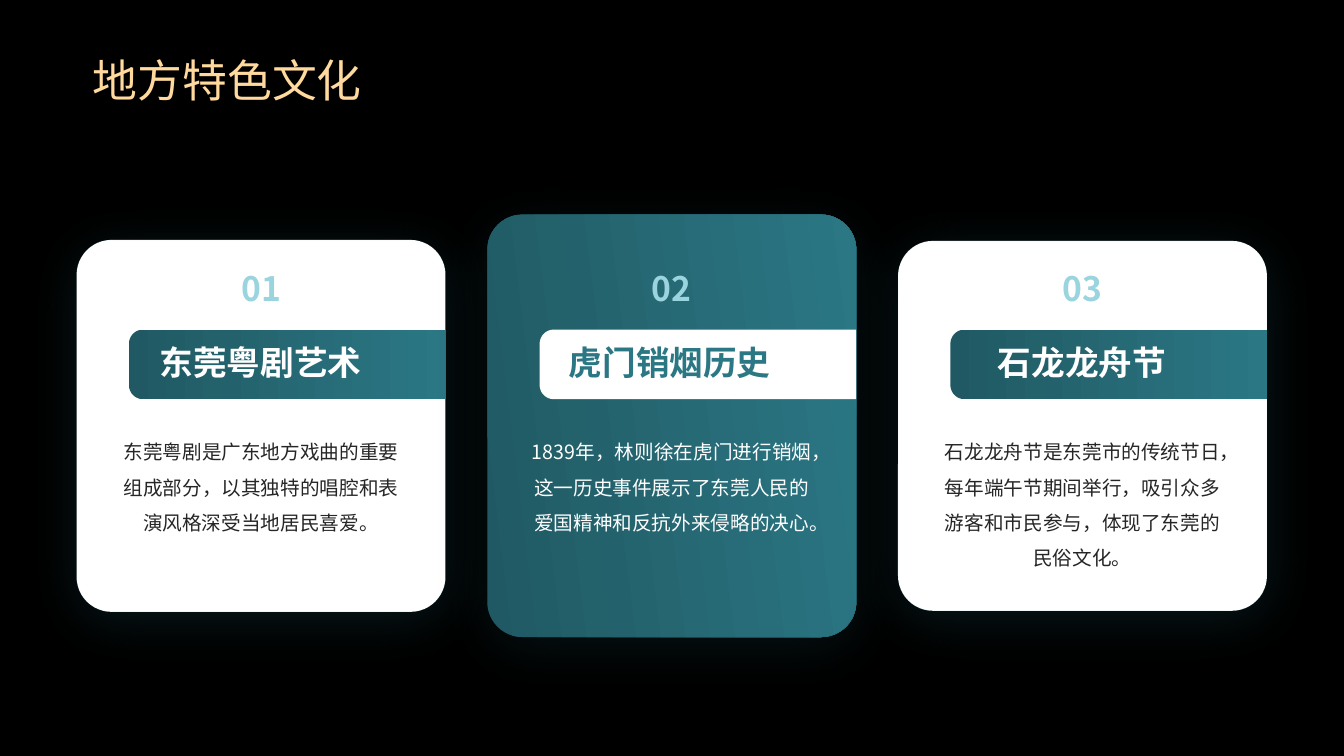
import math
from dataclasses import dataclass

from lxml import etree
from pptx import Presentation
from pptx.dml.color import RGBColor
from pptx.enum.shapes import MSO_SHAPE
from pptx.enum.text import MSO_ANCHOR, PP_ALIGN
from pptx.oxml.ns import qn
from pptx.util import Inches, Pt

ROUNDED = MSO_SHAPE.ROUNDED_RECTANGLE
TOP, MIDDLE = MSO_ANCHOR.TOP, MSO_ANCHOR.MIDDLE
LEFT, CENTER = PP_ALIGN.LEFT, PP_ALIGN.CENTER
WIDTH, HEIGHT = Inches(13.33), Inches(7.5)


@dataclass(frozen=True)
class Theme:
    font: str = "Noto Sans CJK SC"
    background: str = "000000"
    gold: str = "FFD99D"
    white: str = "FFFFFF"
    dark_teal: str = "205963"
    teal: str = "2B7784"
    pale_teal: str = "9AD4DE"
    ink: str = "262626"
    title_size: int = 32
    heading_size: int = 24
    body_size: int = 14


@dataclass(frozen=True)
class Card:
    number: str
    heading: str
    body: str
    height: float
    featured: bool = False


THEME = Theme()
# Places and sizes are percentages of the slide's width or height.
CARD_LEFT, CARD_PITCH, CARD_WIDTH, CARD_MIDDLE = 5.7, 30.56, 27.45, 56.33
TAB_INDENT, TAB_TOP, TAB_HEIGHT, TAB_RADIUS = 3.9, 43.6, 9.2, 1.05
NUMBER_TOP, NUMBER_WIDTH, NUMBER_HEIGHT = 34.8, 4.05, 6.53
BODY_TOP, BODY_WIDTH, BODY_HEIGHT = 56.67, 21.83, 19.07
CARDS = [
    Card("01", "东莞粤剧艺术",
         "东莞粤剧是广东地方戏曲的重要组成部分，以其独特的唱腔和表演风格深受当地居民喜爱。", 49.2),
    Card("02", "虎门销烟历史",
         "1839年，林则徐在虎门进行销烟，这一历史事件展示了东莞人民的爱国精神和反抗外来侵略的决心。",
         55.87, featured=True),
    Card("03", "石龙龙舟节",
         "石龙龙舟节是东莞市的传统节日，每年端午节期间举行，吸引众多游客和市民参与，体现了东莞的民俗文化。",
         48.93),
]


def across(percent):
    return round(WIDTH * percent / 100)


def down(percent):
    return round(HEIGHT * percent / 100)


def area(left, top, width, height):
    return across(left), down(top), across(width), down(height)


def paint(fill, color):
    fill.solid()
    fill.fore_color.rgb = RGBColor.from_string(color)


def paint_teal(fill, angle=0):
    fill.gradient()
    fill.gradient_angle = angle
    for stop, color in zip(fill.gradient_stops, (THEME.dark_teal, THEME.teal)):
        stop.color.rgb = RGBColor.from_string(color)


def add_alpha(color_element, percent):
    etree.SubElement(color_element, qn("a:alpha"), val=str(percent * 1000))


def add_glow(shape, color, distance):
    """Give the shape a soft coloured shadow that falls straight down."""
    effects = shape._element.spPr.find(qn("a:effectLst"))
    shadow = etree.SubElement(
        effects, qn("a:outerShdw"), blurRad=str(Pt(40)), dist=str(Pt(distance)),
        dir="5400000", algn="t", rotWithShape="0")
    add_alpha(etree.SubElement(shadow, qn("a:srgbClr"), val=color), 20)


def write(shape, text, size, color, bold=False, align=CENTER, anchor=TOP,
          margins=(0, 0, 0, 0), wrap=True, spacing=None):
    frame = shape.text_frame
    frame.word_wrap = wrap
    frame.vertical_anchor = anchor
    (frame.margin_left, frame.margin_top,
     frame.margin_right, frame.margin_bottom) = margins
    para = frame.paragraphs[0]
    para.text = text
    para.alignment = align
    para.line_spacing = spacing
    font = para.font
    font.name, font.size, font.bold = THEME.font, Pt(size), bold
    font.color.rgb = RGBColor.from_string(color)
    latin = font._element.find(qn("a:latin"))
    latin.addnext(latin.makeelement(qn("a:ea"), typeface=THEME.font))


def add_text(page, place, text, size, color, **style):
    write(page.shapes.add_textbox(*place), text, size, color, **style)


def add_panel(page, left, card):
    panel = page.shapes.add_shape(
        ROUNDED, *area(left, CARD_MIDDLE - card.height / 2, CARD_WIDTH, card.height))
    panel.adjustments[0] = 0.095
    panel.shadow.inherit = False
    if card.featured:
        paint_teal(panel.fill, 7)
    else:
        paint(panel.fill, THEME.white)
    edge = THEME.dark_teal if card.featured else THEME.teal
    paint(panel.line.fill, edge)
    panel.line.width = Pt(0.25)
    add_alpha(panel.line._ln.find(".//" + qn("a:srgbClr")), 20)
    add_glow(panel, edge, 8 if card.featured else 6)


def add_tab(page, left, card):
    """Draw the heading strip, rounded on its left side only."""
    x, y, width, height = area(left + TAB_INDENT, TAB_TOP,
                               CARD_WIDTH - TAB_INDENT, TAB_HEIGHT)
    radius = across(TAB_RADIUS)
    outline = [(x + width, y)]
    for center_y, start in ((y + radius, 270), (y + height - radius, 180)):
        for step in range(0, 91, 6):
            turn = math.radians(start - step)
            outline.append((round(x + radius + radius * math.cos(turn)),
                            round(center_y + radius * math.sin(turn))))
    outline.append((x + width, y + height))
    builder = page.shapes.build_freeform(*outline[0])
    builder.add_line_segments(outline[1:], close=True)
    tab = builder.convert_to_shape()
    tab.shadow.inherit = False
    tab.line.fill.background()
    if card.featured:
        paint(tab.fill, THEME.white)
    else:
        paint_teal(tab.fill)
    write(tab, card.heading, THEME.heading_size,
          THEME.teal if card.featured else THEME.white, bold=True,
          margins=(across(0.3), down(1.6), across(4.5 if card.featured else 4.28), 0))


def add_card(page, left, card):
    middle = left + CARD_WIDTH / 2
    add_panel(page, left, card)
    add_tab(page, left, card)
    add_text(page, area(middle - NUMBER_WIDTH / 2, NUMBER_TOP, NUMBER_WIDTH, NUMBER_HEIGHT),
             card.number, THEME.heading_size, THEME.pale_teal,
             bold=True, anchor=MIDDLE, wrap=False)
    add_text(page, area(middle - BODY_WIDTH / 2, BODY_TOP, BODY_WIDTH, BODY_HEIGHT),
             card.body, THEME.body_size,
             THEME.white if card.featured else THEME.ink, spacing=1.5)


def main():
    deck = Presentation()
    deck.slide_width, deck.slide_height = WIDTH, HEIGHT
    page = deck.slides.add_slide(deck.slide_layouts[6])
    paint(page.background.fill, THEME.background)
    add_text(page, area(6.9, 4.27, 86.25, 12.53), "地方特色文化",
             THEME.title_size, THEME.gold, align=LEFT, anchor=MIDDLE)
    for index, card in enumerate(CARDS):
        add_card(page, CARD_LEFT + index * CARD_PITCH, card)
    deck.save("out.pptx")


if __name__ == "__main__":
    main()
